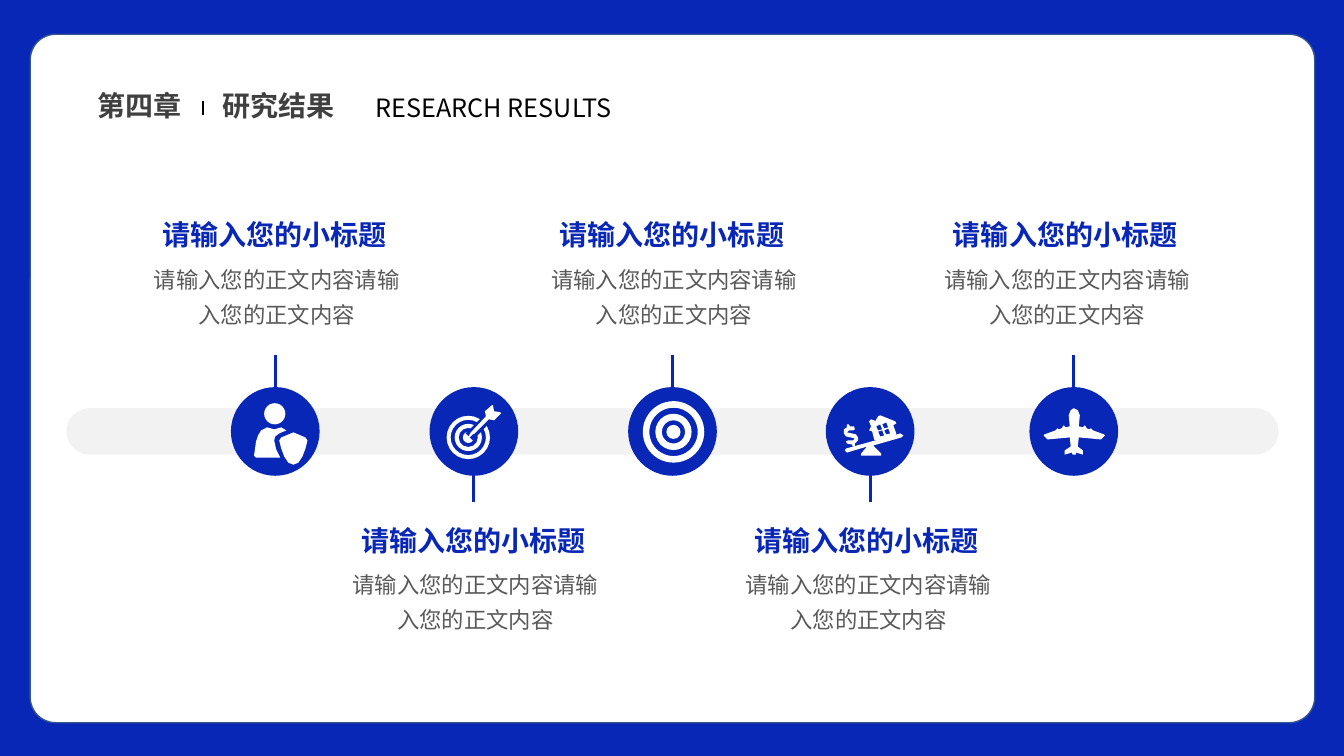
from dataclasses import dataclass

from lxml import etree
from pptx import Presentation
from pptx import util as u
from pptx.dml.color import RGBColor
from pptx.enum import shapes, text
from pptx.oxml import ns

BLUE = RGBColor(0x09, 0x27, 0xB6)
PANEL_EDGE = RGBColor(0x32, 0x54, 0x91)
WHITE = RGBColor(0xFF, 0xFF, 0xFF)
BLACK = RGBColor(0x00, 0x00, 0x00)
TRACK_GREY = RGBColor(0xF2, 0xF2, 0xF2)
TITLE_GREY = RGBColor(0x40, 0x40, 0x40)
BODY_GREY = RGBColor(0x59, 0x59, 0x59)
FONT = "Noto Sans CJK SC"
SHAPE = shapes.MSO_SHAPE
ALIGN = text.PP_ALIGN

HEADING = "请输入您的小标题"
BODY = "请输入您的正文内容请输入您的正文内容"
CIRCLE_TOP, CIRCLE_SIZE = 3.84, 0.88


@dataclass
class Style:
    size: float
    color: RGBColor
    bold: bool = False
    align: ALIGN = ALIGN.LEFT
    spacing: float = 1.0
    wrap: bool = True


@dataclass
class Ring:
    """A disc, or a ring when hole is above zero; units are 0.01 inch."""
    x: float
    y: float
    radius: float
    hole: float = 0


@dataclass
class Outline:
    """Closed contours in 0.01 inch; inner contours cut holes."""
    contours: list[list[tuple[int, int]]]
    color: RGBColor = WHITE


@dataclass
class Station:
    circle_left: float
    text_left: float
    above: bool
    icon: list[Ring | Outline]


TITLE = Style(20, TITLE_GREY, bold=True, wrap=False)
SUBTITLE = Style(18, BLACK, align=ALIGN.JUSTIFY)
STATION_HEADING = Style(20, BLUE, bold=True, align=ALIGN.CENTER)
STATION_BODY = Style(16, BODY_GREY, align=ALIGN.CENTER, spacing=1.3)

PERSON = [
    Ring(272.5, 410.5, 10.5),
    Outline([
        [(265, 424), (272, 426), (279, 424), (284, 427), (277, 430), (273, 433),
         (272, 437), (274, 446), (278, 454), (254, 454), (252, 452), (254, 438),
         (256, 432), (259, 427)],
        [(291, 429), (303, 434), (305, 437), (303, 445), (300, 453), (296, 459),
         (291, 461), (286, 459), (282, 453), (279, 445), (277, 437), (279, 434)],
    ]),
]
DART_TARGET = [
    Ring(464.5, 434, 21.5, 17.5),
    Ring(464.5, 434, 13.5, 9.5),
    Ring(464.5, 434, 5.5),
    Outline([[(462, 430), (479, 413), (486, 419), (469, 437)]], BLUE),
    Outline([[(488, 402), (489, 402), (490, 408), (496, 409), (497, 410),
              (490, 417), (485, 416), (471, 430), (469, 431), (465, 435),
              (464, 434), (467, 429), (482, 413), (481, 408)]]),
]
BULLSEYE = [
    Ring(668, 428.5, 30.5, 24),
    Ring(668, 428.5, 18, 11.5),
    Ring(668, 428.5, 7),
]
HOUSE_ON_SCALE = [
    Outline([
        [(862, 427), (864, 423), (862, 418), (864, 416), (867, 417), (868, 418),
         (871, 413), (873, 412), (888, 418), (889, 420), (886, 422), (889, 430),
         (888, 432), (869, 437), (867, 436), (865, 428)],
        [(871, 428), (875, 427), (877, 432), (873, 433)],
        [(777 + 100, 427), (881, 425), (883, 430), (879, 431)],
        [(875, 421), (879, 419), (881, 424), (877, 425)],
        [(869, 423), (873, 421), (875, 426), (871, 427)],
    ]),
    Outline([[(838, 447), (839, 445), (893, 430), (896, 432), (894, 434),
              (866, 442), (874, 450), (874, 452), (854, 452), (854, 450),
              (860, 443), (840, 449)]]),
    Outline([[(840, 424), (840, 421), (842, 421), (843, 423), (847, 423),
              (848, 426), (846, 427), (842, 427), (840, 429), (845, 430),
              (849, 431), (851, 434), (851, 437), (848, 440), (848, 443),
              (846, 443), (845, 441), (840, 440), (839, 438), (841, 437),
              (846, 437), (848, 435), (844, 434), (839, 333 + 100), (837, 430),
              (837, 426)]]),
]
PLANE = [
    Outline([[(1096, 432), (1095, 431), (1084, 427), (1082, 425), (1080, 426),
              (1078, 425), (1076, 422), (1074, 424), (1070, 423), (1071, 412),
              (1069, 407), (1065, 405), (1062, 407), (1060, 412), (1061, 423),
              (1057, 424), (1055, 422), (1053, 425), (1050, 426), (1049, 425),
              (1047, 427), (1036, 431), (1035, 432), (1039, 436), (1061, 434),
              (1062, 443), (1056, 447), (1056, 451), (1063, 449), (1064, 451),
              (1067, 451), (1067, 449), (1074, 451), (1074, 447), (1069, 443),
              (1070, 434), (1092, 436)]]),
]
STATIONS = [
    Station(2.29, 1.39, True, PERSON),
    Station(4.26, 3.36, False, DART_TARGET),
    Station(6.23, 5.33, True, BULLSEYE),
    Station(8.19, 7.26, False, HOUSE_ON_SCALE),
    Station(10.21, 9.23, True, PLANE),
]


def inches(*lengths: float) -> list[u.Length]:
    return [u.Inches(v) for v in lengths]


def paint(sp, color: RGBColor) -> None:
    sp.shadow.inherit = False
    sp.fill.solid()
    sp.fill.fore_color.rgb = color
    sp.line.fill.background()


def add_filled(s, kind: SHAPE, box: tuple, color: RGBColor, adj: float | None = None):
    sp = s.shapes.add_shape(kind, *inches(*box))
    paint(sp, color)
    if adj is not None:
        sp.adjustments[0] = adj
    return sp


def write(sp, words: str, style: Style) -> None:
    tf = sp.text_frame
    tf.text = words
    tf.word_wrap = style.wrap
    tf.auto_size = text.MSO_AUTO_SIZE.SHAPE_TO_FIT_TEXT
    tf.vertical_anchor = text.MSO_ANCHOR.TOP
    p = tf.paragraphs[0]
    p.alignment, p.line_spacing = style.align, style.spacing
    p.space_before = u.Pt(0)
    font = p.runs[0].font
    font.name, font.size, font.bold = FONT, u.Pt(style.size), style.bold
    font.color.rgb = style.color
    east_asian = etree.SubElement(p.runs[0]._r.get_or_add_rPr(), ns.qn("a:ea"))
    east_asian.set("typeface", FONT)


def add_text(s, box: tuple, words: str, style: Style) -> None:
    write(s.shapes.add_textbox(*inches(*box)), words, style)


def add_vertical_line(s, x: float, top: float, bottom: float,
                      color: RGBColor, width: float) -> None:
    line = s.shapes.add_connector(shapes.MSO_CONNECTOR.STRAIGHT,
                                  *inches(x, top, x, bottom))
    line.line.color.rgb, line.line.width = color, u.Pt(width)
    etree.SubElement(line._element.spPr, ns.qn("a:effectLst"))


def add_icon_part(s, part: Ring | Outline) -> None:
    if isinstance(part, Ring):
        size = 2 * part.radius / 100
        box = ((part.x - part.radius) / 100, (part.y - part.radius) / 100, size, size)
        if part.hole:
            thickness = (part.radius - part.hole) / (2 * part.radius)
            add_filled(s, SHAPE.DONUT, box, WHITE, thickness)
        else:
            add_filled(s, SHAPE.OVAL, box, WHITE)
        return
    first, *holes = part.contours
    builder = s.shapes.build_freeform(*first[0], scale=u.Inches(0.01))
    builder.add_line_segments(first[1:], close=True)
    for hole in holes:
        builder.move_to(*hole[0])
        builder.add_line_segments(hole[1:], close=True)
    paint(builder.convert_to_shape(), part.color)


def add_station(s, station: Station) -> None:
    add_filled(s, SHAPE.OVAL,
               (station.circle_left, CIRCLE_TOP, CIRCLE_SIZE, CIRCLE_SIZE), BLUE)
    for part in station.icon:
        add_icon_part(s, part)
    line_top, text_top = (3.52, 2.11) if station.above else (4.66, 5.14)
    add_vertical_line(s, station.circle_left + CIRCLE_SIZE / 2,
                      line_top, line_top + 0.32, BLUE, 2.25)
    add_text(s, (station.text_left, text_top, 2.67, 0.44), HEADING, STATION_HEADING)
    add_text(s, (station.text_left, text_top + 0.4, 2.71, 0.77), BODY, STATION_BODY)


def main() -> None:
    prs = Presentation()
    prs.slide_width, prs.slide_height = inches(13.33, 7.5)
    s = prs.slides.add_slide(prs.slide_layouts[5])

    add_filled(s, SHAPE.RECTANGLE, (0, 0, 13.33, 7.5), BLUE)
    panel = add_filled(s, SHAPE.ROUNDED_RECTANGLE, (0.3, 0.34, 12.74, 6.83), WHITE, 0.037)
    panel.line.color.rgb, panel.line.width = PANEL_EDGE, u.Pt(1)

    add_text(s, (0.87, 0.83, 1.04, 0.44), "第四章", TITLE)
    title = s.shapes.title
    s.shapes.element.append(title.element)  # bring the title above the panel
    title.left, title.top, title.width, title.height = inches(2.11, 0.83, 1.32, 0.44)
    write(title, "研究结果", TITLE)
    add_text(s, (3.63, 0.87, 3.04, 0.4), "RESEARCH RESULTS", SUBTITLE)
    add_vertical_line(s, 2.01, 1, 1.14, BLACK, 1.5)

    add_filled(s, SHAPE.ROUNDED_RECTANGLE, (0.66, 4.05, 12.02, 0.46), TRACK_GREY, 0.5)
    for station in STATIONS:
        add_station(s, station)
    prs.save("out.pptx")


if __name__ == "__main__":
    main()
